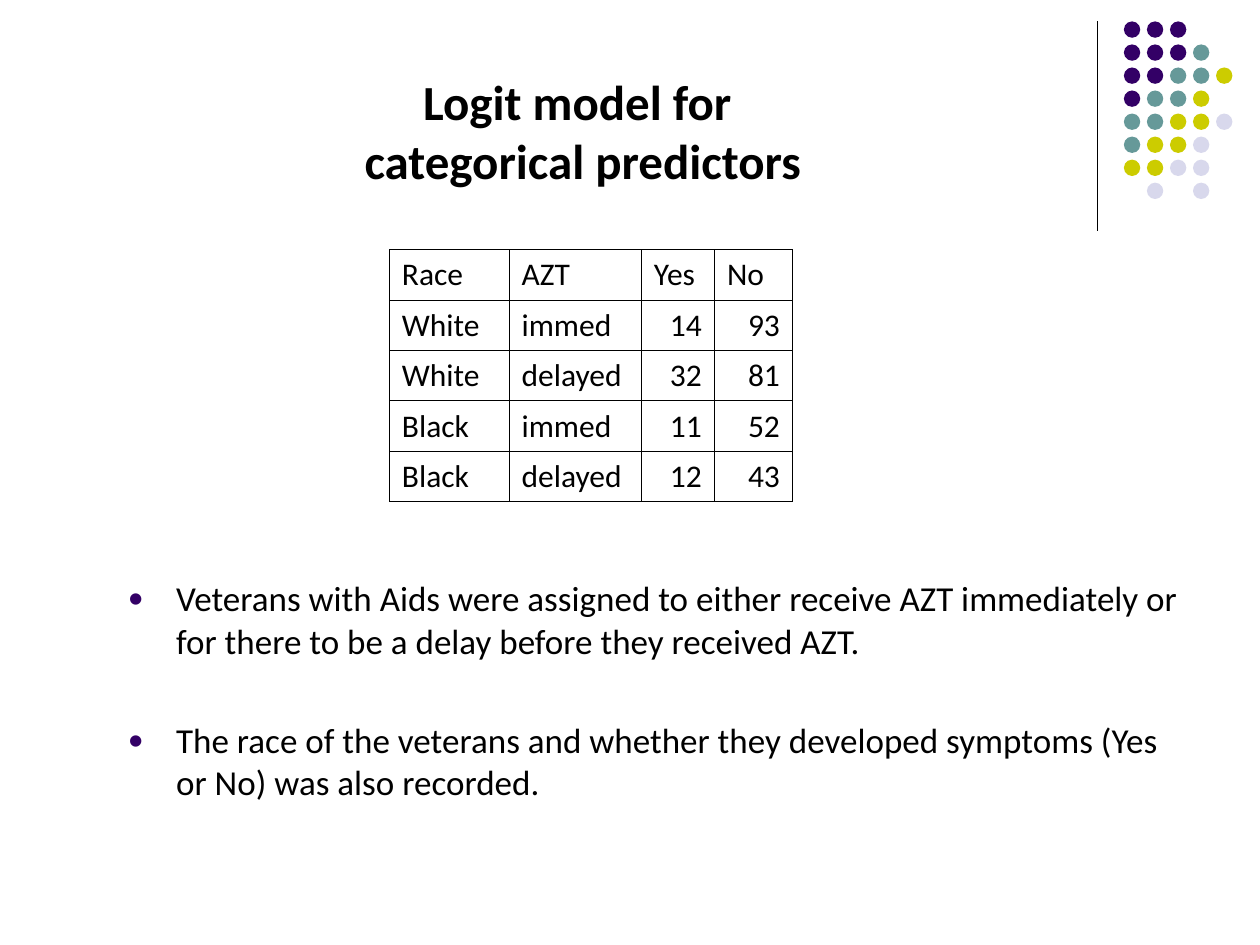
from lxml import etree
from pptx import Presentation
from pptx.dml.color import RGBColor
from pptx.enum.shapes import MSO_CONNECTOR, MSO_SHAPE
from pptx.enum.text import MSO_ANCHOR, MSO_AUTO_SIZE, PP_ALIGN
from pptx.oxml.ns import qn
from pptx.util import Inches, Pt

ELLIPSE = MSO_SHAPE.OVAL
STRAIGHT = MSO_CONNECTOR.STRAIGHT
BOTTOM, TOP = MSO_ANCHOR.BOTTOM, MSO_ANCHOR.TOP
LEFT, CENTER, RIGHT = PP_ALIGN.LEFT, PP_ALIGN.CENTER, PP_ALIGN.RIGHT
NO_AUTOFIT = MSO_AUTO_SIZE.NONE

DOT_COLORS = {"p": "330066", "t": "669999", "y": "CCCC00", "l": "D8D8EC"}
DOT_ROWS = ["ppp", "pppt", "pptty", "ptty", "ttyyl", "tyyl", "yyll", " l l"]
DOT_PITCH = 1.28 / 7

TREATMENT_ROWS = [
    ["Race", "AZT", "Yes", "No"],
    ["White", "immed", "14", "93"],
    ["White", "delayed", "32", "81"],
    ["Black", "immed", "11", "52"],
    ["Black", "delayed", "12", "43"],
]
NOTES = [
    "Veterans with Aids were assigned to either receive AZT immediately "
    "or for there to be a delay before they received AZT.",
    "The race of the veterans and whether they developed symptoms "
    "(Yes or No) was also recorded.",
]


def color(hex_code):
    return RGBColor.from_string(hex_code)


class SlideBuilder:
    font = "Calibri"
    ink = "000000"
    accent = "330066"

    def __init__(self, slide):
        self.slide = slide

    def span(self, para, text, size, bold=False):
        span = para.add_run()
        span.text = text
        span.font.name = self.font
        span.font.size = Pt(size)
        span.font.bold = bold
        span.font.color.rgb = color(self.ink)

    def title(self, lines, left, top, width, height):
        title = self.slide.shapes.title
        title.left, title.top = Inches(left), Inches(top)
        title.width, title.height = Inches(width), Inches(height)
        frame = title.text_frame
        frame.auto_size = NO_AUTOFIT
        frame.vertical_anchor = BOTTOM
        para = frame.paragraphs[0]
        para.alignment = CENTER
        for index, line in enumerate(lines):
            if index:
                para.add_line_break()
            self.span(para, line, 28, bold=True)

    def line(self, x1, y1, x2, y2):
        line = self.slide.shapes.add_connector(
            STRAIGHT, Inches(x1), Inches(y1), Inches(x2), Inches(y2))
        line.line.color.rgb = color(self.ink)
        line.line.width = Pt(0.75)
        etree.SubElement(line._element.spPr, qn("a:effectLst"))

    def dots(self, rows, left, top, diameter):
        """Draw one dot for each letter; a space leaves a gap."""
        group = self.slide.shapes.add_group_shape()
        for row, letters in enumerate(rows):
            for column, letter in enumerate(letters):
                if letter == " ":
                    continue
                dot = group.shapes.add_shape(
                    ELLIPSE, Inches(left + column * DOT_PITCH),
                    Inches(top + row * DOT_PITCH),
                    Inches(diameter), Inches(diameter))
                dot.shadow.inherit = False
                dot.fill.solid()
                dot.fill.fore_color.rgb = color(DOT_COLORS[letter])
                dot.line.fill.background()

    def cell_borders(self, cell):
        properties = cell._tc.get_or_add_tcPr()
        for side in ("a:lnL", "a:lnR", "a:lnT", "a:lnB"):
            border = etree.SubElement(properties, qn(side), w=str(Pt(0.45)))
            fill = etree.SubElement(border, qn("a:solidFill"))
            etree.SubElement(fill, qn("a:srgbClr"), val=self.ink)

    def table(self, rows, left, top, widths, row_height):
        table = self.slide.shapes.add_table(
            len(rows), len(widths), Inches(left), Inches(top),
            Inches(sum(widths)), Inches(row_height * len(rows))).table
        table.first_row = table.horz_banding = False
        for column, width in zip(table.columns, widths):
            column.width = Inches(width)
        for row, texts in enumerate(rows):
            for column, text in enumerate(texts):
                cell = table.cell(row, column)
                self.cell_borders(cell)
                cell.fill.background()
                cell.vertical_anchor = BOTTOM
                para = cell.text_frame.paragraphs[0]
                para.alignment = RIGHT if text.isdigit() else LEFT
                self.span(para, text, 18)

    def bullet(self, para):
        properties = para._p.get_or_add_pPr()
        properties.set("marL", str(Inches(0.38)))
        properties.set("indent", str(-Inches(0.38)))
        bullet_color = etree.SubElement(properties, qn("a:buClr"))
        etree.SubElement(bullet_color, qn("a:srgbClr"), val=self.accent)
        etree.SubElement(properties, qn("a:buSzPct"), val="70000")
        etree.SubElement(properties, qn("a:buFont"), typeface=self.font)
        etree.SubElement(properties, qn("a:buChar"), char="●")

    def bullet_list(self, texts, left, top, width, height, gap):
        box = self.slide.shapes.add_textbox(
            Inches(left), Inches(top), Inches(width), Inches(height))
        frame = box.text_frame
        frame.word_wrap = True
        frame.vertical_anchor = TOP
        for index, text in enumerate(texts):
            para = frame.add_paragraph() if index else frame.paragraphs[0]
            para.space_before = Pt(gap if index else 0)
            self.bullet(para)
            self.span(para, text, 20)


def main():
    deck = Presentation()
    deck.slide_width, deck.slide_height = Inches(10), Inches(7.5)
    title_only = deck.slide_layouts[5]
    page = SlideBuilder(deck.slides.add_slide(title_only))

    page.line(8.71, 0.17, 8.71, 1.83)
    page.dots(DOT_ROWS, 8.92, 0.17, 0.13)
    page.title(["Logit model for ", "categorical predictors"],
               0.5, 0.13, 8.25, 1.42)
    page.bullet_list(NOTES, 0.92, 4.53, 8.67, 2.12, gap=33)
    page.table(TREATMENT_ROWS, 3.09, 1.98, [0.95, 1.05, 0.58, 0.62], 0.4)

    deck.save("out.pptx")


if __name__ == "__main__":
    main()
